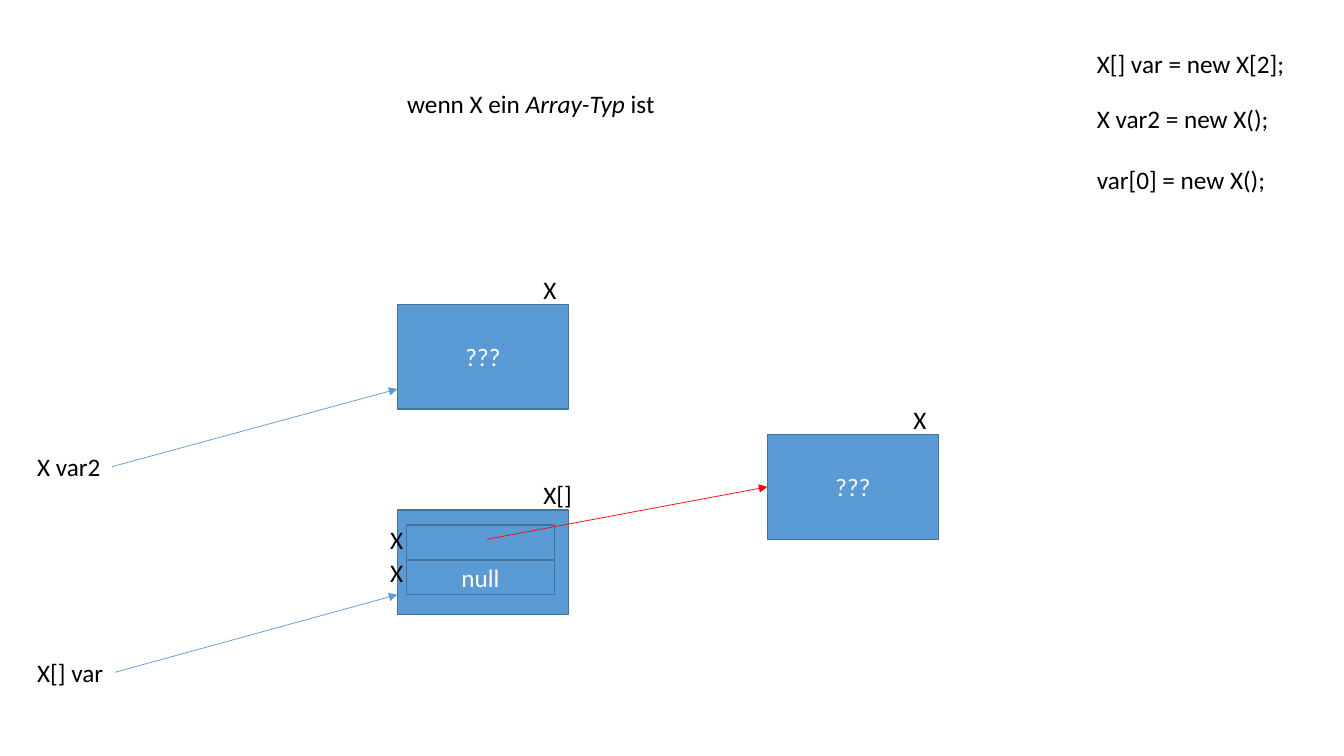
from dataclasses import dataclass

from lxml import etree
from pptx import Presentation
from pptx.dml.color import RGBColor
from pptx.enum.shapes import MSO_CONNECTOR, MSO_SHAPE
from pptx.enum.text import MSO_ANCHOR, MSO_AUTO_SIZE, PP_ALIGN
from pptx.oxml.ns import qn
from pptx.slide import Slide
from pptx.text.text import TextFrame
from pptx.util import Inches, Pt

RECTANGLE = MSO_SHAPE.RECTANGLE
STRAIGHT = MSO_CONNECTOR.STRAIGHT
MIDDLE = MSO_ANCHOR.MIDDLE
CENTER = PP_ALIGN.CENTER
FIT_SHAPE = MSO_AUTO_SIZE.SHAPE_TO_FIT_TEXT

FONT = "Calibri"
BLACK, WHITE = "000000", "FFFFFF"
BLUE, DARK_BLUE, RED = "5B9BD5", "43739E", "FF0000"
LABEL_HEIGHT = 0.4
OBJECT_WIDTH, OBJECT_HEIGHT = 1.7, 1.04
TYPE_DX, TYPE_DY = 1.35, -0.35
CELL_WIDTH, CELL_HEIGHT, CELL_PITCH = 1.47, 0.34, 0.35
HEAP_LEFT = 3.94
ARRAY_TOP = 5.06
CODE_LEFT = 10.78


@dataclass(frozen=True)
class Label:
    left: float
    top: float
    width: float
    text: str
    height: float = LABEL_HEIGHT


@dataclass(frozen=True)
class HeapObject:
    left: float
    top: float
    type_name: str
    type_width: float
    content: str


@dataclass(frozen=True)
class Reference:
    start: tuple[float, float]
    end: tuple[float, float]
    color: str


def rgb(color: str) -> RGBColor:
    return RGBColor.from_string(color)


def style_text(frame: TextFrame, color: str) -> None:
    for paragraph in frame.paragraphs:
        for run in paragraph.runs:
            run.font.name = FONT
            run.font.size = Pt(18)
            run.font.color.rgb = rgb(color)


def draw_label(slide: Slide, label: Label) -> TextFrame:
    frame = slide.shapes.add_textbox(
        Inches(label.left), Inches(label.top), Inches(label.width), Inches(label.height)
    ).text_frame
    frame.word_wrap = False
    frame.auto_size = FIT_SHAPE
    frame.text = label.text
    style_text(frame, BLACK)
    return frame


def draw_box(slide: Slide, left: float, top: float, width: float, height: float, content: str) -> None:
    box = slide.shapes.add_shape(RECTANGLE, Inches(left), Inches(top), Inches(width), Inches(height))
    box.shadow.inherit = False
    box.fill.solid()
    box.fill.fore_color.rgb = rgb(BLUE)
    box.line.color.rgb = rgb(DARK_BLUE)
    box.line.width = Pt(1)
    frame = box.text_frame
    frame.text = content
    frame.vertical_anchor = MIDDLE
    frame.paragraphs[0].alignment = CENTER
    style_text(frame, WHITE)


def draw_object(slide: Slide, item: HeapObject) -> None:
    draw_box(slide, item.left, item.top, OBJECT_WIDTH, OBJECT_HEIGHT, item.content)
    draw_label(slide, Label(item.left + TYPE_DX, item.top + TYPE_DY, item.type_width, item.type_name))


def draw_reference(slide: Slide, reference: Reference) -> None:
    arrow = slide.shapes.add_connector(
        STRAIGHT, *(Inches(value) for value in reference.start + reference.end)
    )
    arrow.line.color.rgb = rgb(reference.color)
    arrow.line.width = Pt(0.5)
    etree.SubElement(arrow.line._get_or_add_ln(), qn("a:tailEnd"), type="triangle")
    etree.SubElement(arrow._element.spPr, qn("a:effectLst"))


HEAP_OBJECTS = [
    HeapObject(HEAP_LEFT, ARRAY_TOP, "X[]", 0.49, ""),
    HeapObject(HEAP_LEFT, 3.02, "X", 0.33, "???"),
    HeapObject(7.61, 4.31, "X", 0.33, "???"),
]
ARRAY_CELLS = ["", "null"]
LABELS = [
    Label(CODE_LEFT, 0.43, 2.09, "X[] var = new X[2];"),
    Label(0.27, 6.47, 0.86, "X[] var"),
    Label(0.27, 4.43, 0.84, "X var2"),
]
REFERENCES = [
    Reference((1.14, 6.67), (HEAP_LEFT, 5.9), BLUE),
    Reference((1.11, 4.63), (HEAP_LEFT, 3.86), BLUE),
    Reference((4.83, 5.35), (7.61, 4.83), RED),
]

presentation = Presentation()
presentation.slide_width = Inches(13.33)
presentation.slide_height = Inches(7.5)
slide = presentation.slides.add_slide(presentation.slide_layouts[6])

for heap_object in HEAP_OBJECTS:
    draw_object(slide, heap_object)

for index, value in enumerate(ARRAY_CELLS):
    draw_box(slide, 4.03, ARRAY_TOP + 0.15 + index * CELL_PITCH, CELL_WIDTH, CELL_HEIGHT, value)
for index in range(len(ARRAY_CELLS)):
    draw_label(slide, Label(3.77, ARRAY_TOP + 0.09 + index * 0.33, 0.33, "X"))

for label in LABELS:
    draw_label(slide, label)

condition = draw_label(slide, Label(HEAP_LEFT, 0.83, 2.68, "wenn X ein "))
for words, italic in [("Array-Typ", True), (" ist", False)]:
    run = condition.paragraphs[0].add_run()
    run.text = words
    run.font.italic = italic
style_text(condition, BLACK)

object_code = draw_label(slide, Label(CODE_LEFT, 0.98, 1.93, "X var2 = new X();\nvar[0] = new X();", 1.01))
object_code.paragraphs[1].space_before = Pt(22)

for reference in REFERENCES:
    draw_reference(slide, reference)

presentation.save("out.pptx")
